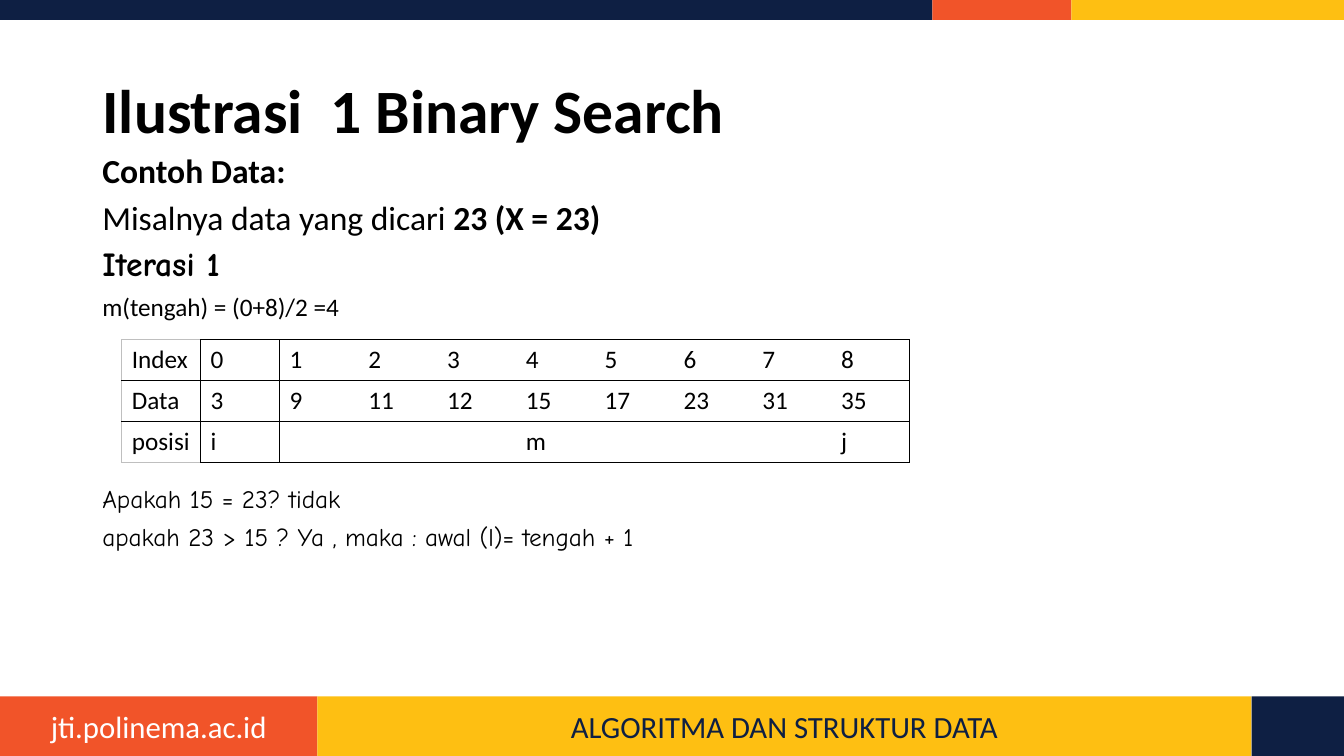
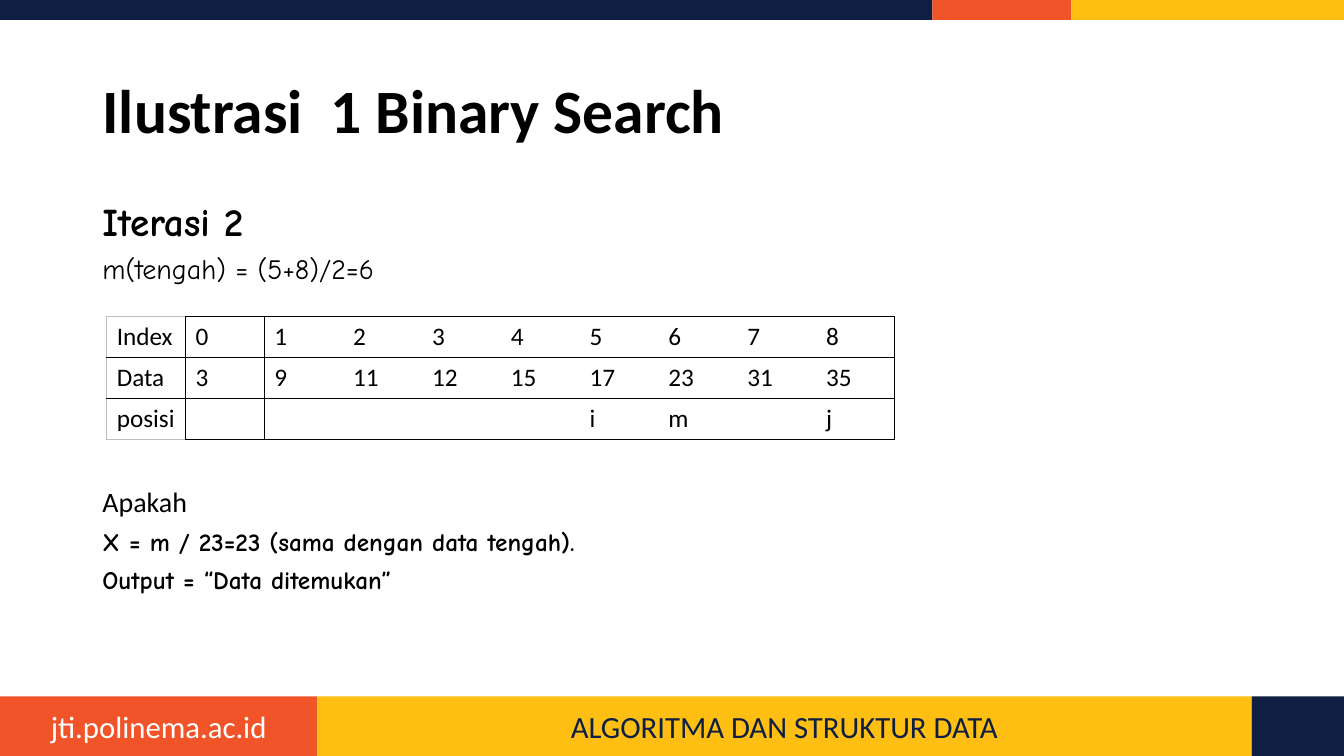
from lxml import etree
from pptx import Presentation
from pptx.dml.color import RGBColor
from pptx.enum.shapes import MSO_SHAPE
from pptx.enum.text import MSO_ANCHOR, MSO_AUTO_SIZE, PP_ALIGN
from pptx.oxml.ns import qn
from pptx.util import Cm, Pt

RECTANGLE = MSO_SHAPE.RECTANGLE
MIDDLE, TOP = MSO_ANCHOR.MIDDLE, MSO_ANCHOR.TOP
NO_AUTOFIT = MSO_AUTO_SIZE.NONE
LEFT, CENTER = PP_ALIGN.LEFT, PP_ALIGN.CENTER

NAVY = RGBColor(0x0E, 0x1F, 0x43)
ORANGE = RGBColor(0xF1, 0x54, 0x29)
YELLOW = RGBColor(0xFE, 0xBF, 0x12)
WHITE = RGBColor(0xFF, 0xFF, 0xFF)
BLACK = RGBColor(0, 0, 0)
GRAY = RGBColor(0xBF, 0xBF, 0xBF)

SANS, COMIC = "Calibri", "Comic Neue"
WIDTH, HEIGHT = 33.87, 19.05
NO_TABLE_STYLE = "{2D5ABB26-0587-4C30-8999-92F81FD0307C}"

HEADER_BAND = [(23.5, NAVY, "", None), (3.5, ORANGE, "", None), (6.87, YELLOW, "", None)]
FOOTER_BAND = [
    (8, ORANGE, "jti.polinema.ac.id", WHITE),
    (23.54, YELLOW, "ALGORITMA DAN STRUKTUR DATA", NAVY),
    (2.33, NAVY, "", None),
]
BANDS = [(0, 0.5, HEADER_BAND), (17.55, 1.5, FOOTER_BAND)]

TITLE = "Ilustrasi  1 Binary Search"
DATA = [3, 9, 11, 12, 15, 17, 23, 31, 35]

SLIDES = [
    {
        "body_top": 3.86,
        "lines": [
            (24, SANS, 10, [("Contoh Data:", True)]),
            (24, SANS, 10, [("Misalnya data yang dicari ", False), ("23 (X = 23)", True)]),
            (24, COMIC, 10, [("Iterasi 1", True)]),
            (18, SANS, 10, [("m(tengah) = (0+8)/2 =4", False)]),
            (18, COMIC, 120, [("Apakah 15 = 23? tidak", False)]),
            (18, COMIC, 10, [("apakah 23 > 15 ? Ya , maka : awal (l)= tengah + 1", False)]),
        ],
        "table_at": (3.07, 8.56),
        "positions": {0: "i", 4: "m", 8: "j"},
    },
    {
        "body_top": 5.08,
        "lines": [
            (28, COMIC, 10, [("Iterasi 2", True)]),
            (20, COMIC, 10, [("m(tengah) = (5+8)/2=6", False)]),
            (20, SANS, 147, [("Apakah", False)]),
            (18, COMIC, 10, [("X = m / 23=23 (sama dengan data tengah).", True)]),
            (18, COMIC, 10, [("Output = “Data ditemukan”", True)]),
        ],
        "table_at": (2.69, 7.98),
        "positions": {5: "i", 6: "m", 8: "j"},
    },
]


def style_font(font, size, name, color, bold=False):
    font.size, font.name, font.bold = Pt(size), name, bold
    font.color.rgb = color


def move_bands_to_layout(slide, layout):
    shape_id = 100
    for top, height, parts in BANDS:
        left = 0
        for width, fill, text, color in parts:
            shape = slide.shapes.add_shape(RECTANGLE, Cm(left), Cm(top), Cm(width), Cm(height))
            shape.shadow.inherit = False
            shape.fill.solid()
            shape.fill.fore_color.rgb = fill
            shape.line.fill.background()
            if text:
                shape.text_frame.vertical_anchor = MIDDLE
                paragraph = shape.text_frame.paragraphs[0]
                paragraph.text = text
                paragraph.alignment = CENTER
                style_font(paragraph.font, 22, SANS, color)
            shape.element.xpath(".//p:cNvPr")[0].set("id", str(shape_id))
            layout.shapes.element.append(shape.element)
            left += width
            shape_id += 1


def set_title(slide):
    title = slide.shapes.title
    title.left, title.top, title.width, title.height = Cm(2.33), Cm(1.01), Cm(26), Cm(3.68)
    title.text_frame.auto_size = NO_AUTOFIT
    title.text_frame.vertical_anchor = MIDDLE
    paragraph = title.text_frame.paragraphs[0]
    paragraph.text = TITLE
    paragraph.alignment = LEFT
    paragraph.line_spacing = 0.9
    style_font(paragraph.font, 44, SANS, BLACK, True)


def add_body(slide, top, lines):
    box = slide.shapes.add_textbox(Cm(2.33), Cm(top), Cm(29.21), Cm(17.15 - top))
    frame = box.text_frame
    frame.word_wrap = True
    frame.vertical_anchor = TOP
    for index, (size, font_name, gap, runs) in enumerate(lines):
        paragraph = frame.add_paragraph() if index else frame.paragraphs[0]
        paragraph.line_spacing = 0.8
        paragraph.space_before = Pt(gap)
        style_font(paragraph.font, size, font_name, BLACK)
        for text, bold in runs:
            run = paragraph.add_run()
            run.text = text
            run.font.bold = bold


def set_borders(cell, borders):
    properties = cell._tc.get_or_add_tcPr()
    sides = [side for side in ("L", "R", "T", "B") if side in borders]
    for index, side in enumerate(sides):
        line = etree.Element(qn("a:ln" + side), w=str(Pt(1)))
        fill = etree.SubElement(line, qn("a:solidFill"))
        etree.SubElement(fill, qn("a:srgbClr"), val=str(borders[side]))
        properties.insert(index, line)


def add_search_table(slide, left, top, positions):
    indexes = range(len(DATA))
    rows = [
        ["Index", *indexes],
        ["Data", *DATA],
        ["posisi", *(positions.get(index, "") for index in indexes)],
    ]
    last_row, last_column = len(rows) - 1, len(DATA)
    frame = slide.shapes.add_table(
        len(rows), last_column + 1, Cm(left), Cm(top), Cm(19.86), Cm(1.03 * len(rows))
    )
    frame.element.xpath(".//a:tableStyleId")[0].text = NO_TABLE_STYLE
    table = frame.table
    table.first_row = table.horz_banding = False
    for row, values in enumerate(rows):
        for column, value in enumerate(values):
            cell = table.cell(row, column)
            cell.fill.background()
            paragraph = cell.text_frame.paragraphs[0]
            paragraph.text = str(value)
            style_font(paragraph.font, 18, SANS, BLACK)
            edge = GRAY if column == 0 else BLACK
            borders = {
                "T": edge if row == 0 else BLACK,
                "B": edge if row == last_row else BLACK,
            }
            if column <= 1:
                borders["L"] = edge
            if column in (0, last_column):
                borders["R"] = BLACK
            set_borders(cell, borders)


def main():
    presentation = Presentation()
    presentation.slide_width, presentation.slide_height = Cm(WIDTH), Cm(HEIGHT)
    layout = presentation.slide_layouts[5]
    for number, content in enumerate(SLIDES):
        slide = presentation.slides.add_slide(layout)
        if number == 0:
            move_bands_to_layout(slide, layout)
        set_title(slide)
        add_body(slide, content["body_top"], content["lines"])
        add_search_table(slide, *content["table_at"], content["positions"])
    presentation.save("out.pptx")


if __name__ == "__main__":
    main()
